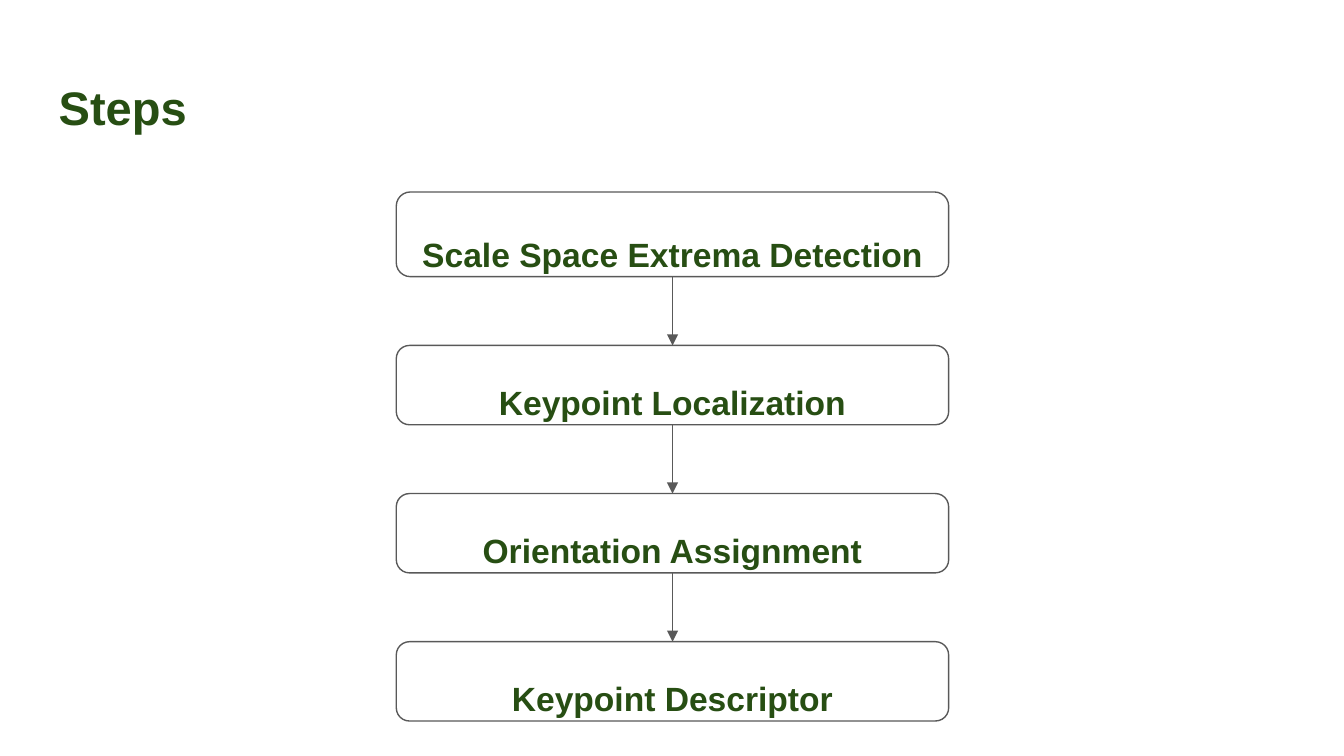
from pptx import Presentation
from pptx.dml.color import RGBColor
from pptx.enum import shapes, text
from pptx.oxml import ns
from pptx.util import Cm, Pt
from lxml import etree

GREEN = RGBColor(0x27, 0x4E, 0x13)
GRAY = RGBColor(0x59, 0x59, 0x59)
WHITE = RGBColor(0xFF, 0xFF, 0xFF)

STEPS = [
    ("Scale Space Extrema Detection", 1.6),
    ("Keypoint Localization", 1.5),
    ("Orientation Assignment", 1.5),
    ("Keypoint Descriptor", 1.5),
]


def write(shape, words, size=18, align=text.PP_ALIGN.CENTER,
          anchor=text.MSO_ANCHOR.MIDDLE, top=0.25, space=None, after=None):
    frame = shape.text_frame
    frame.word_wrap = True
    frame.auto_size = text.MSO_AUTO_SIZE.NONE
    frame.vertical_anchor = anchor
    frame.margin_left = frame.margin_right = frame.margin_bottom = Cm(0.25)
    frame.margin_top = Cm(top)
    frame.text = words
    para = frame.paragraphs[0]
    para.alignment = align
    para.line_spacing = space
    para.space_before = Pt(0)
    para.space_after = after
    font = para.runs[0].font
    font.name, font.size, font.bold = "Arial", Pt(size), True
    font.color.rgb = GREEN


def head(slide, left, top, width, height):
    title = slide.shapes.title
    title.left, title.top = Cm(left), Cm(top)
    title.width, title.height = Cm(width), Cm(height)
    write(title, "Steps", size=25.2, align=text.PP_ALIGN.LEFT,
          anchor=text.MSO_ANCHOR.TOP, space=1.0)


def step(slide, words, left, top, width, height):
    box = slide.shapes.add_shape(shapes.MSO_SHAPE.ROUNDED_RECTANGLE,
                                 Cm(left), Cm(top), Cm(width), Cm(height))
    box.shadow.inherit = False
    box.fill.solid()
    box.fill.fore_color.rgb = WHITE
    box.line.color.rgb = GRAY
    box.line.width = Pt(0.75)
    # The deep top margin sets each label near the lower edge
    write(box, words, top=height - 0.73, space=1.15, after=Pt(12))
    return box


def arrow(slide, start, end):
    line = slide.shapes.add_connector(shapes.MSO_CONNECTOR.STRAIGHT, 0, 0, 0, 0)
    line.begin_connect(start, 2)
    line.end_connect(end, 0)
    line.line.color.rgb = GRAY
    line.line.width = Pt(0.75)
    tip = etree.SubElement(line.line._get_or_add_ln(), ns.qn("a:tailEnd"))
    tip.set("type", "triangle")
    etree.SubElement(line._element.spPr, ns.qn("a:effectLst"))


def flow(slide, left, top, width, gap):
    boxes = []
    for words, height in STEPS:
        boxes.append(step(slide, words, left, top, width, height))
        top += height + gap
    for start, end in zip(boxes, boxes[1:]):
        arrow(slide, start, end)


def main():
    deck = Presentation()
    deck.slide_width, deck.slide_height = Cm(25.4), Cm(14.29)
    slide = deck.slides.add_slide(deck.slide_layouts[5])
    slide.background.fill.solid()
    slide.background.fill.fore_color.rgb = WHITE

    # Title
    head(slide, 0.86, 1.24, 23.67, 1.6)
    # Chain of steps
    flow(slide, 7.49, 3.63, 10.44, 1.3)

    deck.save("out.pptx")


if __name__ == "__main__":
    main()
